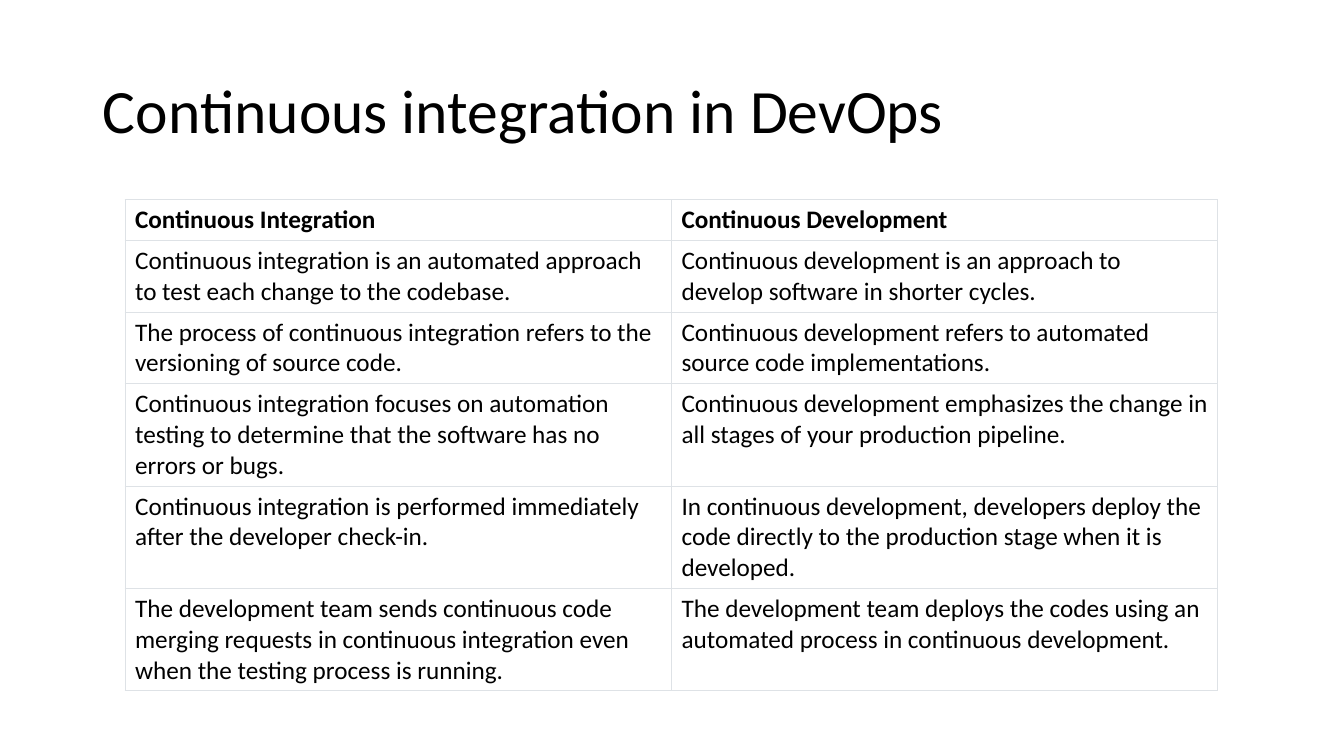
import pptx
import pptx.util
import pptx.dml.color
import pptx.enum.text
import pptx.oxml
import pptx.oxml.ns

Inches = pptx.util.Inches
Pt = pptx.util.Pt
BLACK = pptx.dml.color.RGBColor(0x00, 0x00, 0x00)
WHITE = pptx.dml.color.RGBColor(0xFF, 0xFF, 0xFF)
GREY = pptx.dml.color.RGBColor(0xDE, 0xE2, 0xE6)

ROWS = [
    ("Continuous Integration", "Continuous Development"),
    ("Continuous integration is an automated approach to test each change to the codebase.",
     "Continuous development is an approach to develop software in shorter cycles."),
    ("The process of continuous integration refers to the versioning of source code.",
     "Continuous development refers to automated source code implementations."),
    ("Continuous integration focuses on automation testing to determine that the software "
     "has no errors or bugs.",
     "Continuous development emphasizes the change in all stages of your production pipeline."),
    ("Continuous integration is performed immediately after the developer check-in.",
     "In continuous development, developers deploy the code directly to the production "
     "stage when it is developed."),
    ("The development team sends continuous code merging requests in continuous "
     "integration even when the testing process is running.",
     "The development team deploys the codes using an automated process in continuous "
     "development."),
]
LINES = [1, 2, 2, 3, 3, 3]
PAD = {"margin_left": Inches(0.1), "margin_right": Inches(0.1),
       "margin_top": Inches(0.05), "margin_bottom": Inches(0.05)}


def style(font, size, bold=False):
    look = {"name": "Calibri", "size": Pt(size), "bold": bold}
    for key, value in look.items():
        setattr(font, key, value)
    font.color.rgb = BLACK


def border(cell):
    """Draw a thin grey line on all four sides of the cell."""
    props = cell._tc.get_or_add_tcPr()
    for side in "LRTB":
        props.append(pptx.oxml.parse_xml(
            f'<a:ln{side} {pptx.oxml.ns.nsdecls("a")} w="{Pt(0.75)}"><a:solidFill>'
            f'<a:srgbClr val="{GREY}"/></a:solidFill></a:ln{side}>'))


deck = pptx.Presentation()
deck.slide_width = Inches(13.33)
deck.slide_height = Inches(7.5)
slide = deck.slides.add_slide(deck.slide_layouts[5])

title = slide.shapes.title
place = {"left": 0.92, "top": 0.4, "width": 11.5, "height": 1.45}
for key, value in place.items():
    setattr(title, key, Inches(value))
title.text_frame.text = "Continuous integration in DevOps"
title.text_frame.vertical_anchor = pptx.enum.text.MSO_ANCHOR.MIDDLE
head = title.text_frame.paragraphs[0]
head.alignment = pptx.enum.text.PP_ALIGN.LEFT
head.line_spacing = 0.9
style(head.font, 44)

table = slide.shapes.add_table(len(ROWS), 2, Inches(1.24), Inches(1.98),
                               Inches(10.84), Inches(4.79)).table
for r, texts in enumerate(ROWS):
    table.rows[r].height = Inches(0.4 + 0.3 * (LINES[r] - 1))
    for c, text in enumerate(texts):
        cell = table.cell(r, c)
        border(cell)
        cell.fill.solid()
        cell.fill.fore_color.rgb = WHITE
        for key, value in PAD.items():
            setattr(cell, key, value)
        cell.text = text
        style(cell.text_frame.paragraphs[0].runs[0].font, 18, bold=r == 0)

deck.save("out.pptx")
